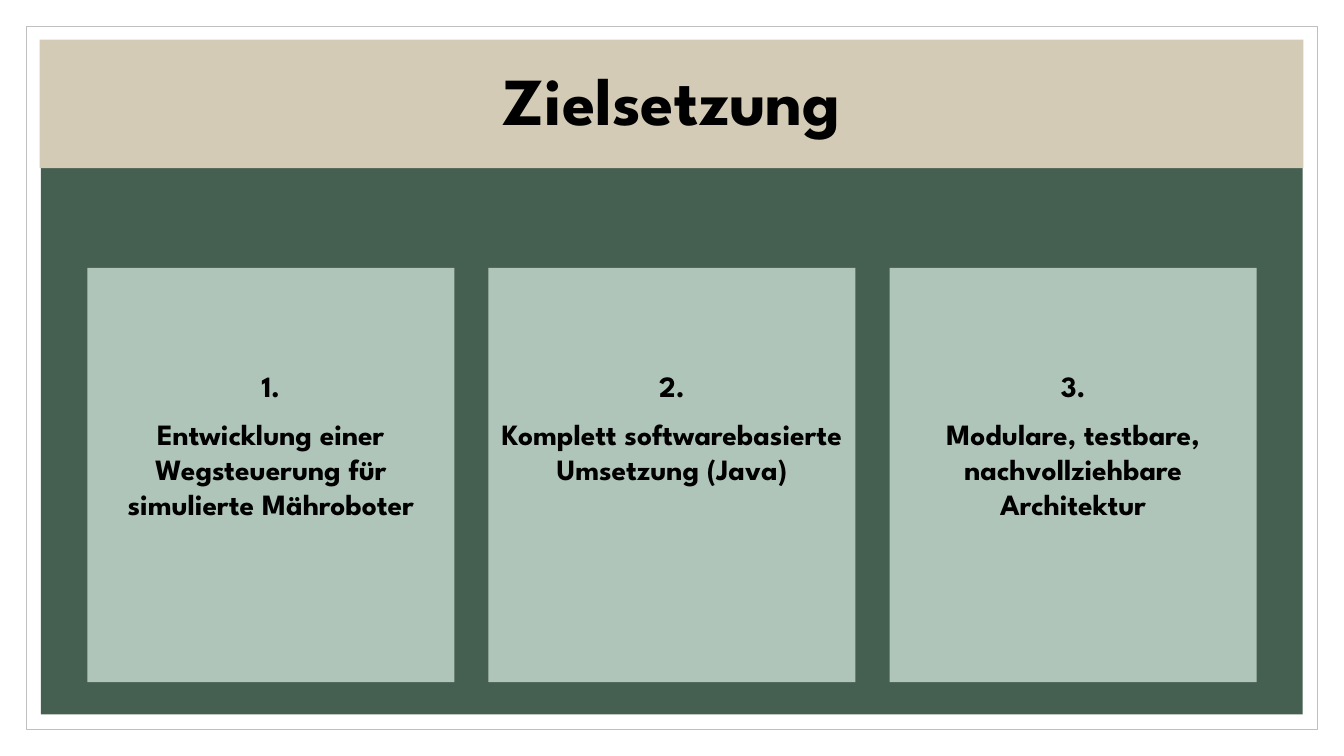
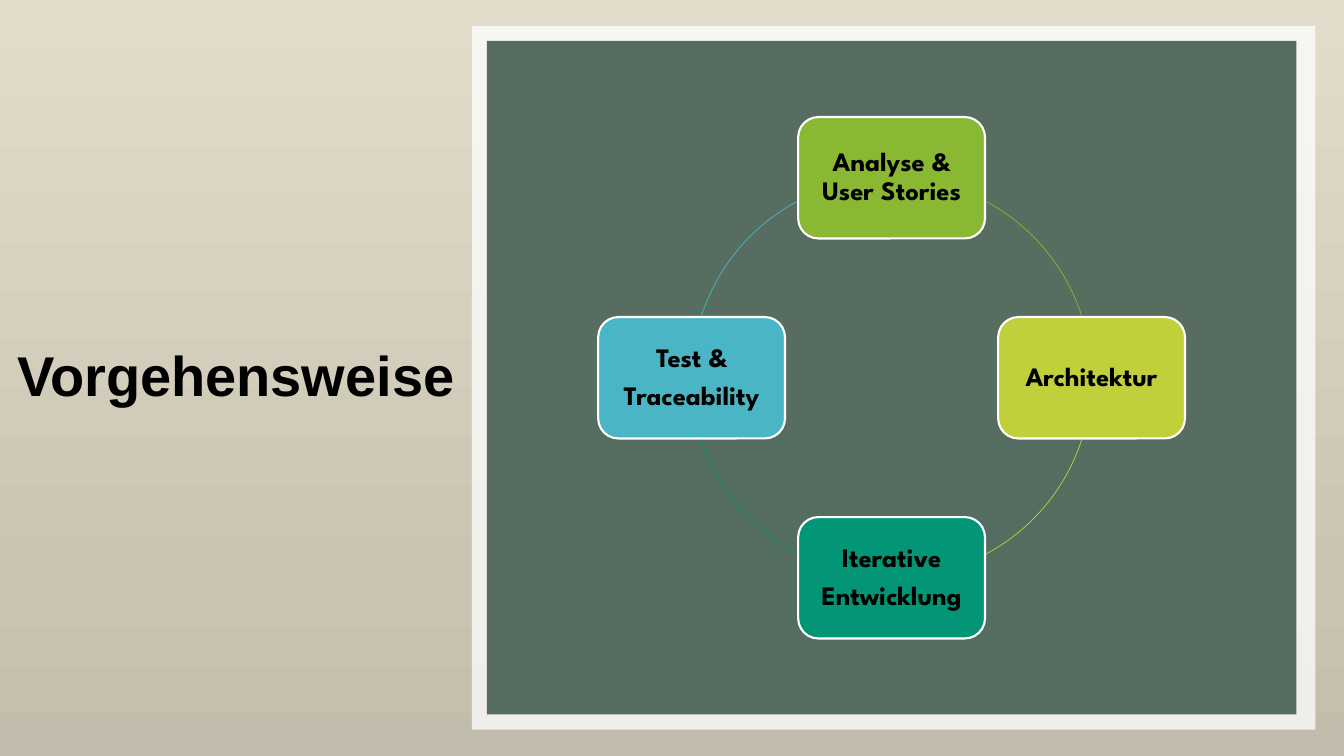
"""Build two German project slides: the goals and the working cycle."""
from copy import deepcopy
from math import cos, radians, sin

from pptx import Presentation
from pptx.dml.color import RGBColor
from pptx.enum.shapes import MSO_SHAPE
from pptx.enum.text import MSO_ANCHOR, MSO_AUTO_SIZE, PP_ALIGN
from pptx.oxml.ns import qn
from pptx.util import Cm, Pt

COLORS = {
    "white": "FFFFFF", "black": "000000", "grey": "BFBFBF",
    "forest": "455F51", "sand": "D3CBB6", "sage": "AFC5B9",
    "sand_top": "E2DCCA", "sand_low": "CAC4B2", "sand_bottom": "C2BCAC",
    "leaf": "8AB833", "lime": "C0CF3A", "teal": "029676", "sky": "4AB5C4",
}
DISPLAY_FONT = "League Spartan"


def rgb(color):
    """Return the named colour."""
    return RGBColor.from_string(COLORS[color])


def assign(target, values):
    """Set each value as an attribute of the target."""
    for name, value in values.items():
        setattr(target, name, value)


class Deck:
    """Hold the shared style and the current slide."""

    def __init__(self):
        """Start an empty widescreen deck."""
        self.presentation = Presentation()
        assign(self.presentation, {"slide_width": Cm(33.87), "slide_height": Cm(19.05)})
        self.slide = None

    def new_slide(self):
        """Add a title-only slide and make it current."""
        self.slide = self.presentation.slides.add_slide(self.presentation.slide_layouts[5])

    def gradient(self, stops):
        """Fill the background from top to bottom with (position, colour) stops."""
        fill = self.slide.background.fill
        fill.gradient()
        fill.gradient_angle = 270
        stop_list = next(self.slide._element.iter(qn("a:gsLst")))
        while len(stop_list) < len(stops):
            stop_list.append(deepcopy(stop_list[-1]))
        for stop, (position, color) in zip(fill.gradient_stops, stops):
            stop.position = position
            stop.color.rgb = rgb(color)

    def paint(self, shape, fill=None, line=None, width=0.5, alpha=None):
        """Give a shape its fill, opacity in percent and outline."""
        shape.shadow.inherit = False
        if fill:
            shape.fill.solid()
            shape.fill.fore_color.rgb = rgb(fill)
        else:
            shape.fill.background()
        if alpha:
            tone = next(shape._element.spPr.iter(qn("a:srgbClr")))
            tone.append(tone.makeelement(qn("a:alpha"), {"val": str(alpha * 1000)}))
        if line:
            shape.line.color.rgb = rgb(line)
            shape.line.width = Pt(width)
        else:
            shape.line.fill.background()

    def set_text(self, shape, paragraphs, size, font=DISPLAY_FONT, gap=0, spacing=1.0, **frame):
        """Set bold centred paragraphs with a gap in points between them."""
        text_frame = shape.text_frame
        text_frame.text = "\n".join(paragraphs)
        assign(text_frame, {"word_wrap": True, "auto_size": MSO_AUTO_SIZE.NONE,
                            "vertical_anchor": MSO_ANCHOR.MIDDLE, **frame})
        for paragraph in text_frame.paragraphs:
            assign(paragraph, {"alignment": PP_ALIGN.CENTER, "line_spacing": spacing,
                               "space_before": Pt(0)})
            for run in paragraph.runs:
                assign(run.font, {"name": font, "size": Pt(size), "bold": True})
                run.font.color.rgb = rgb("black")
        for paragraph in text_frame.paragraphs[:-1]:
            paragraph.space_after = Pt(gap)

    def title(self, text, box, size, font=DISPLAY_FONT, fill=None):
        """Place the title in front of what is already drawn."""
        heading = self.slide.shapes.title
        assign(heading, dict(zip(("left", "top", "width", "height"), map(Cm, box))))
        self.paint(heading, fill)
        self.set_text(heading, [text], size, font, spacing=0.9, margin_left=0, margin_right=0)
        self.slide.shapes._spTree.append(heading._element)

    def block(self, box, kind=MSO_SHAPE.RECTANGLE, **style):
        """Add a preset shape and return it."""
        shape = self.slide.shapes.add_shape(kind, *map(Cm, box))
        self.paint(shape, **style)
        return shape

    def arc(self, center, radius, start, end, color):
        """Draw a thin clockwise arc between two angles in degrees."""
        box = (center[0] - radius, center[1] - radius, 2 * radius, 2 * radius)
        curve = self.block(box, MSO_SHAPE.ARC, line=color)
        for index, angle in enumerate((start, end)):
            curve.adjustments[index] = angle % 360 * 0.6


def goals(deck):
    """Show the three goals side by side."""
    deck.new_slide()
    deck.block((0.66, 0.66, 32.55, 17.73), fill="white", line="grey")
    deck.block((1.03, 1.03, 31.8, 16.97), fill="forest")
    deck.title("Zielsetzung", (1, 1, 31.85, 3.24), 48, fill="sand")
    targets = (
        "Entwicklung einer Wegsteuerung für simulierte Mähroboter",
        "Komplett softwarebasierte Umsetzung (Java)",
        "Modulare, testbare, nachvollziehbare Architektur",
    )
    for index, target in enumerate(targets):
        card = deck.block((2.2 + 10.11 * index, 6.75, 9.25, 10.44), fill="sage")
        deck.set_text(card, [f"{index + 1}.", target], 21, gap=9,
                      vertical_anchor=MSO_ANCHOR.TOP, margin_top=Cm(2.52))


def approach(deck):
    """Show the four steps of the working cycle."""
    deck.new_slide()
    deck.gradient(((0, "sand_top"), (0.77, "sand_low"), (1, "sand_bottom")))
    deck.block((11.89, 0.66, 21.26, 17.73), fill="white", alpha=75)
    deck.block((12.27, 1.03, 20.4, 16.97), fill="forest", alpha=90)
    deck.title("Vorgehensweise", (0, 7.7, 11.88, 3.66), 40, "Arial")
    center, radius = (22.47, 9.52), 5.04
    width, height = 4.71, 3.06
    sweep = 43.7
    steps = (
        (["Analyse & User Stories"], "leaf", 298.2),
        (["Architektur"], "lime", 18.1),
        (["Iterative", "Entwicklung"], "teal", 118.2),
        (["Test &", "Traceability"], "sky", 198.1),
    )
    for index, (words, color, start) in enumerate(steps):
        angle = radians(90 * index - 90)
        left = center[0] + radius * cos(angle) - width / 2
        top = center[1] + radius * sin(angle) - height / 2
        step = deck.block((left, top, width, height), MSO_SHAPE.ROUNDED_RECTANGLE,
                          fill=color, line="white", width=1.5)
        deck.set_text(step, words, 19, gap=7, spacing=0.9,
                      margin_left=Cm(0.2), margin_right=Cm(0.2))
        deck.arc(center, radius, start, start + sweep, color)


def main():
    """Build and save the deck."""
    deck = Deck()
    goals(deck)
    approach(deck)
    deck.presentation.save("out.pptx")


if __name__ == "__main__":
    main()
